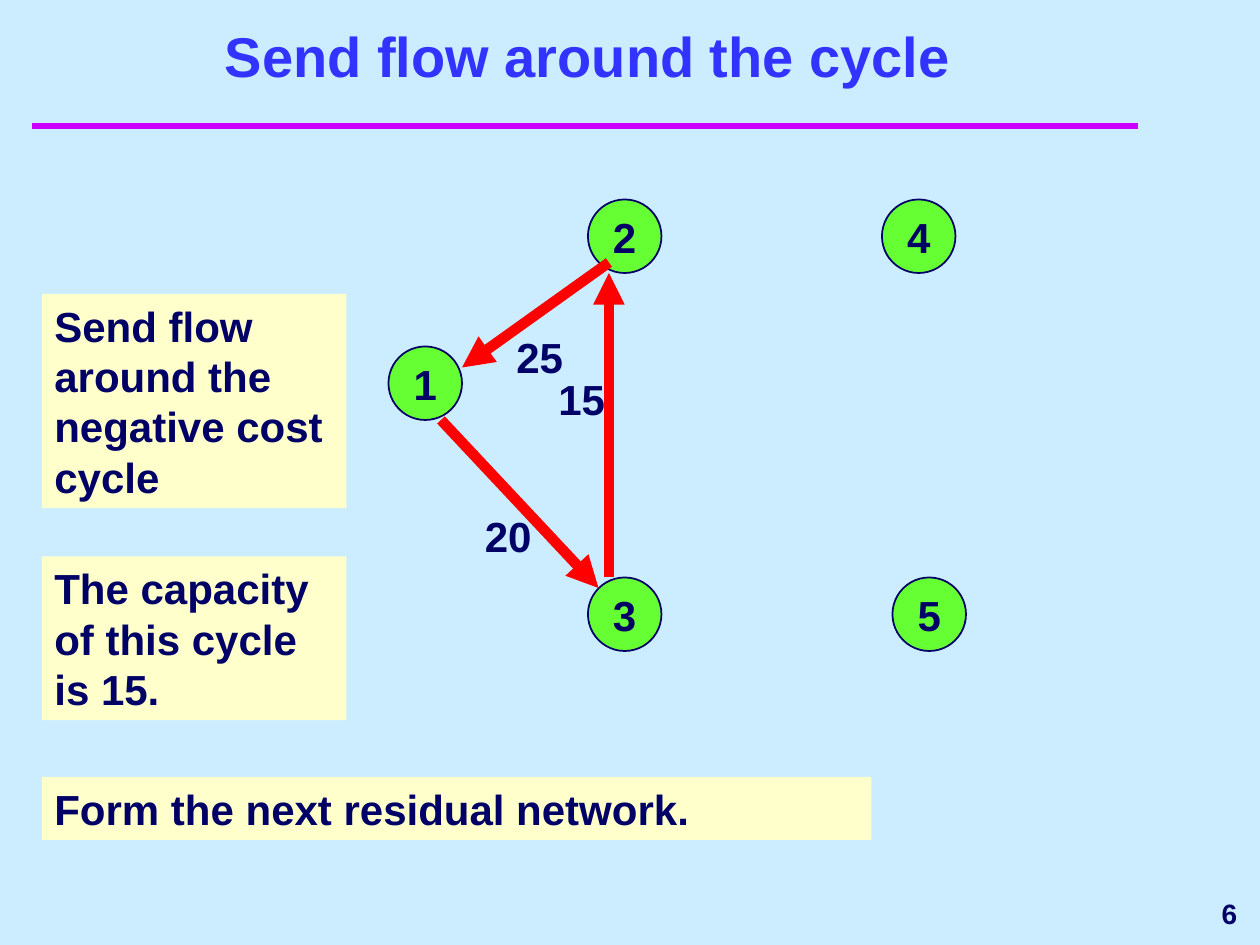
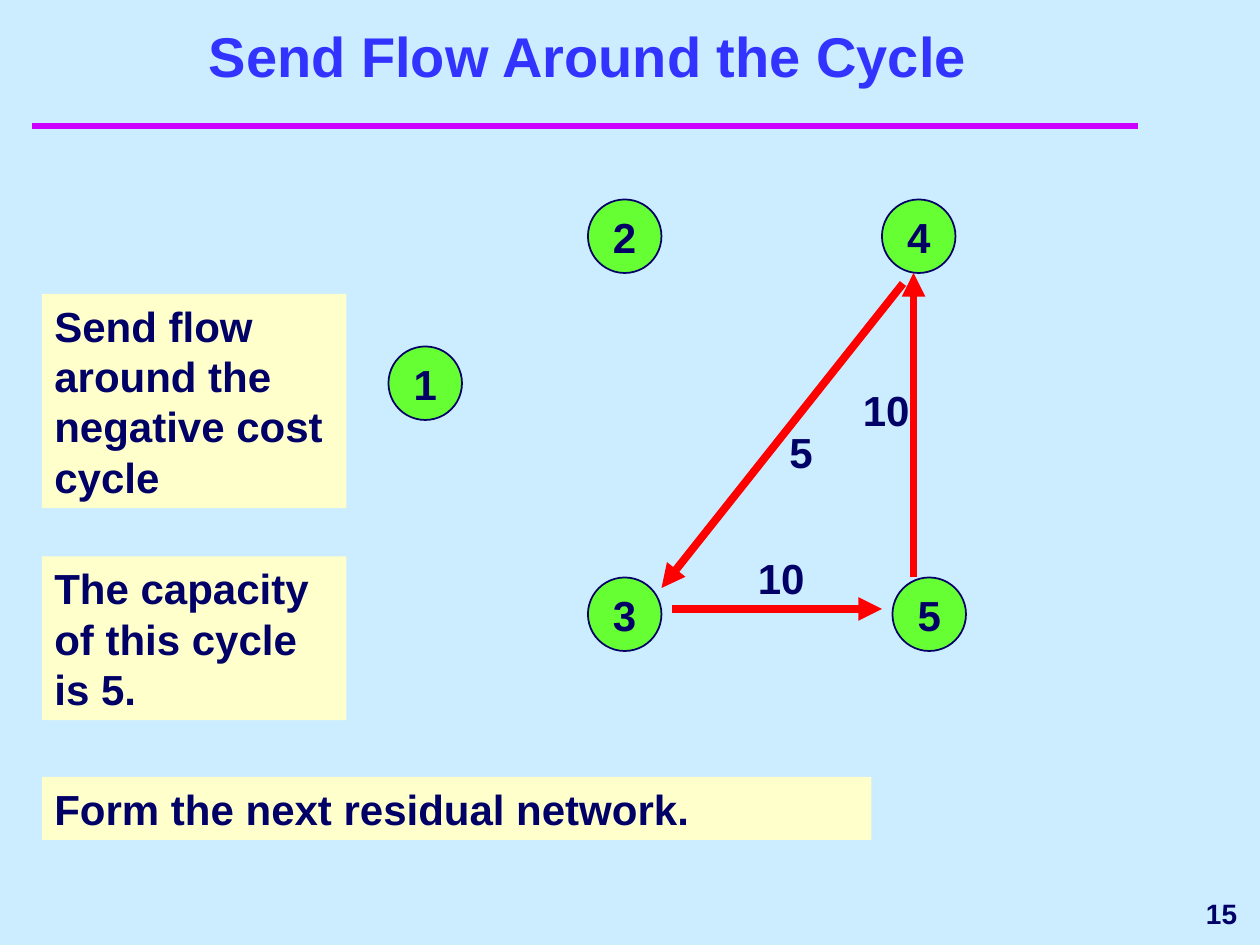
from dataclasses import dataclass
from typing import NamedTuple

from lxml import etree
from pptx import Presentation
from pptx.dml.color import RGBColor
from pptx.enum.shapes import MSO_CONNECTOR, MSO_SHAPE
from pptx.enum.text import MSO_ANCHOR, PP_ALIGN
from pptx.oxml.ns import qn
from pptx.util import Inches, Pt

STRAIGHT = MSO_CONNECTOR.STRAIGHT
ELLIPSE, RECT = MSO_SHAPE.OVAL, MSO_SHAPE.RECTANGLE
LEFT, CENTER, RIGHT = PP_ALIGN.LEFT, PP_ALIGN.CENTER, PP_ALIGN.RIGHT
TOP, MIDDLE, BOTTOM = MSO_ANCHOR.TOP, MSO_ANCHOR.MIDDLE, MSO_ANCHOR.BOTTOM

SKY = RGBColor(0xCC, 0xEC, 0xFF)
NAVY = RGBColor(0x00, 0x00, 0x66)
BLUE = RGBColor(0x33, 0x33, 0xFF)
PURPLE = RGBColor(0xCC, 0x00, 0xFF)
CREAM = RGBColor(0xFF, 0xFF, 0xCC)
GREEN = RGBColor(0x66, 0xFF, 0x33)
RED = RGBColor(0xFF, 0x00, 0x00)

# The slide is a grid of 120 columns by 90 rows, twelve cells to the inch.
SLIDE_W, SLIDE_H = Inches(10), Inches(7.5)
CELL = SLIDE_W // 120
FONT = "Arial"
LINE_HEIGHT = 1.2
TEXT_ROW = 4.8  # rows taken by one line of a note
NOTE_PADDING = 1.2
NODE_SIZE = 7
NODES = {"1": (37, 33), "2": (56, 19), "3": (56, 55), "4": (84, 19), "5": (85, 55)}


class Box(NamedTuple):
    col: float
    row: float
    cols: float
    rows: float


class Note(NamedTuple):
    text: str
    row: float
    cols: float
    lines: int


@dataclass(frozen=True)
class Arc:
    start: tuple[float, float]
    end: tuple[float, float]
    flow: str
    label: Box


@dataclass(frozen=True)
class CycleSlide:
    title: str
    number: int
    capacity: int
    arc_width: float
    arcs: tuple[Arc, ...]


SLIDES = (
    CycleSlide("Send flow around the cycle", 6, 15, 6, (
        Arc((42, 40), (57, 56), "20", Box(45, 48, 8, 6)),
        Arc((58, 25), (44, 35), "25", Box(48, 31, 14, 6)),
        Arc((58, 55), (58, 26), "15", Box(52, 35, 14, 6)),
    )),
    CycleSlide("Send Flow Around the Cycle", 15, 5, 4.5, (
        Arc((64, 58), (84, 58), "10", Box(71, 52, 8, 6)),
        Arc((87, 55), (87, 26), "10", Box(81, 36, 14, 6)),
        Arc((86, 27), (63, 56), "5", Box(74, 40, 14, 6)),
    )),
)


def emu(cells) -> list[int]:
    return [round(c * CELL) for c in cells]


def set_text(sp, text: str, size=24, color=NAVY, align=LEFT, anchor=TOP, wrap=True) -> None:
    tf = sp.text_frame
    tf.word_wrap, tf.vertical_anchor = wrap, anchor
    p = tf.paragraphs[0]
    p.alignment, p.line_spacing = align, Pt(size * LINE_HEIGHT)
    r = p.add_run()
    r.text = text
    r.font.color.rgb = color
    for name, value in {"name": FONT, "size": Pt(size), "bold": True}.items():
        setattr(r.font, name, value)


def add_text(s, box: Box, text: str, **style) -> None:
    set_text(s.shapes.add_textbox(*emu(box)), text, **style)


def add_filled(s, kind, box: Box, fill: RGBColor):
    sp = s.shapes.add_shape(kind, *emu(box))
    sp.shadow.inherit = False
    sp.fill.solid()
    sp.fill.fore_color.rgb = fill
    sp.line.fill.background()
    return sp


def add_line(s, start, end, color: RGBColor, width: float, arrow=False) -> None:
    cx = s.shapes.add_connector(STRAIGHT, *emu((*start, *end)))
    cx.line.color.rgb, cx.line.width = color, Pt(width)
    if arrow:
        etree.SubElement(cx.line._get_or_add_ln(), qn("a:tailEnd"), type="triangle")
    etree.SubElement(cx._element.spPr, qn("a:effectLst"))


def add_node(s, name: str) -> None:
    sp = add_filled(s, ELLIPSE, Box(*NODES[name], NODE_SIZE, NODE_SIZE), GREEN)
    sp.line.color.rgb, sp.line.width = NAVY, Pt(1)
    set_text(sp, name, align=CENTER, anchor=MIDDLE, wrap=False)


def add_note(s, note: Note) -> None:
    box = Box(4, note.row, note.cols, note.lines * TEXT_ROW + NOTE_PADDING)
    set_text(add_filled(s, RECT, box, CREAM), note.text)


def add_frame(s, title: str, number: int) -> None:
    """Draw the rule, slide number and title."""
    add_line(s, (3, 12), (108.4, 12), PURPLE, 4)
    add_text(s, Box(96, 84, 23, 6), str(number), size=16, align=RIGHT,
             anchor=MIDDLE, wrap=False)
    add_text(s, Box(5, 4, 102, 5), title, size=32, color=BLUE, align=CENTER, anchor=BOTTOM)


def add_cycle_slide(prs, cycle: CycleSlide) -> None:
    s = prs.slides.add_slide(prs.slide_layouts[6])
    add_frame(s, cycle.title, cycle.number)
    for note in (
        Note("Send flow around the negative cost cycle", 28, 29, 4),
        Note(f"The capacity of this cycle is {cycle.capacity}.", 53, 29, 3),
        Note("Form the next residual network.", 74, 79, 1),
    ):
        add_note(s, note)
    for name in NODES:
        add_node(s, name)
    for arc in cycle.arcs:
        add_line(s, arc.start, arc.end, RED, cycle.arc_width, arrow=True)
    for arc in cycle.arcs:
        add_text(s, arc.label, arc.flow)


def main() -> None:
    prs = Presentation()
    prs.slide_width, prs.slide_height = SLIDE_W, SLIDE_H
    fill = prs.slide_master.background.fill
    fill.solid()
    fill.fore_color.rgb = SKY
    for cycle in SLIDES:
        add_cycle_slide(prs, cycle)
    prs.save("out.pptx")


if __name__ == "__main__":
    main()
